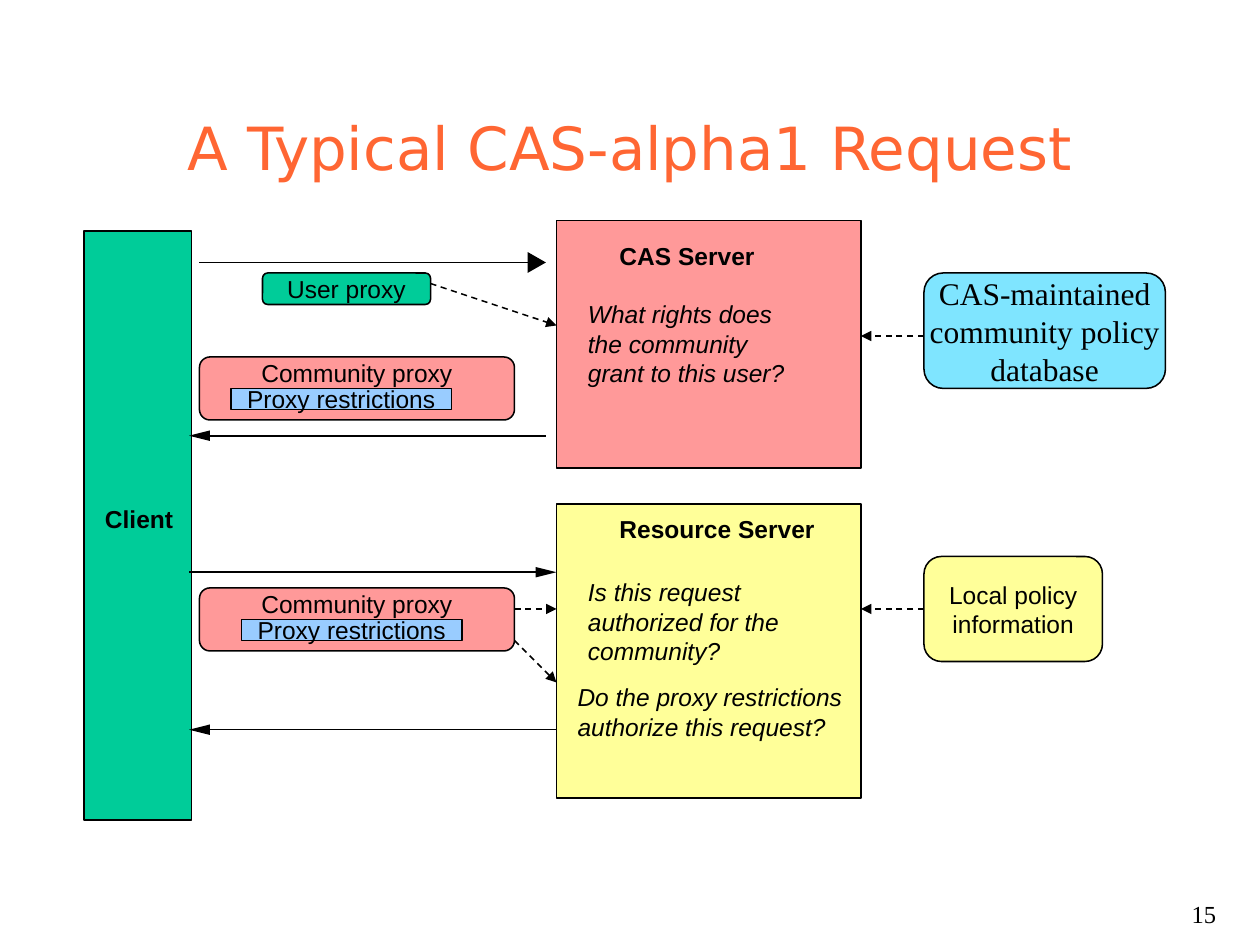
from lxml import etree
from pptx import Presentation
from pptx import util as u
from pptx.dml import color as c
from pptx.enum import dml, shapes, text
from pptx.oxml import ns

BLACK, ROSE, GREEN = "000000", "FF9999", "00CC99"
CREAM, BLUE, CYAN = "FFFF99", "99CCFF", "00CCFF"
LEFT, MID, RIGHT = text.PP_ALIGN.LEFT, text.PP_ALIGN.CENTER, text.PP_ALIGN.RIGHT
TOP, CENTER, BASE = text.MSO_ANCHOR.TOP, text.MSO_ANCHOR.MIDDLE, text.MSO_ANCHOR.BOTTOM


def tint(value):
    return c.RGBColor.from_string(value)


def write(frame, words, size=14, font="Arial", color=BLACK, bold=False,
          slant=False, align=LEFT, anchor=TOP, inset=(0, 0, 0), wrap=True):
    side, head, foot = inset
    frame.word_wrap = wrap
    frame.vertical_anchor = anchor
    frame.margin_left = frame.margin_right = u.Pt(side)
    frame.margin_top, frame.margin_bottom = u.Pt(head), u.Pt(foot)
    for i, line in enumerate(words.split("\n")):
        para = frame.paragraphs[0] if i == 0 else frame.add_paragraph()
        para.alignment = align
        run = para.add_run()
        run.text = line
        run.font.size = u.Pt(size)
        run.font.name = font
        run.font.bold = bold
        run.font.italic = slant
        run.font.color.rgb = tint(color)


class Canvas:
    def __init__(self, slide, weight=0.88, inset=(7.2, 3.6, 3.6)):
        self.shapes = slide.shapes
        self.weight = weight
        self.inset = inset

    def label(self, x, y, w, h, words, **style):
        box = self.shapes.add_textbox(u.Pt(x), u.Pt(y), u.Pt(w), u.Pt(h))
        write(box.text_frame, words, **style)

    def box(self, x, y, w, h, fill, words="", round=False, alpha=None, **style):
        kind = shapes.MSO_SHAPE.ROUNDED_RECTANGLE if round else shapes.MSO_SHAPE.RECTANGLE
        shape = self.shapes.add_shape(kind, u.Pt(x), u.Pt(y), u.Pt(w), u.Pt(h))
        shape.shadow.inherit = False
        shape.fill.solid()
        shape.fill.fore_color.rgb = tint(fill)
        shape.line.color.rgb = tint(BLACK)
        shape.line.width = u.Pt(self.weight)
        if alpha:
            hue = shape._element.spPr.find(".//" + ns.qn("a:srgbClr"))
            etree.SubElement(hue, ns.qn("a:alpha"), val=str(alpha * 1000))
        if words:
            look = dict(align=MID, anchor=CENTER, inset=self.inset, wrap=False)
            write(shape.text_frame, words, **{**look, **style})

    def line(self, x1, y1, x2, y2, dashed=False):
        link = self.shapes.add_connector(
            shapes.MSO_CONNECTOR.STRAIGHT, u.Pt(x1), u.Pt(y1), u.Pt(x2), u.Pt(y2))
        link.line.color.rgb = tint(BLACK)
        link.line.width = u.Pt(self.weight)
        if dashed:
            link.line.dash_style = dml.MSO_LINE.DASH
            etree.SubElement(link.line._get_or_add_ln(), ns.qn("a:tailEnd"), type="triangle")
        etree.SubElement(link._element.spPr, ns.qn("a:effectLst"))

    def arrow(self, start, tip, y, length=12, half=3):
        way = 1 if tip > start else -1
        back = tip - way * length
        self.line(start, y, back + way * 2, y)
        path = self.shapes.build_freeform(u.Pt(back), u.Pt(y - half))
        path.add_line_segments([(u.Pt(tip), u.Pt(y)), (u.Pt(back), u.Pt(y + half))])
        head = path.convert_to_shape()
        head.shadow.inherit = False
        head.fill.solid()
        head.fill.fore_color.rgb = tint(BLACK)
        head.line.fill.background()


def main():
    deck = Presentation()
    deck.slide_width, deck.slide_height = u.Pt(720), u.Pt(540)
    art = Canvas(deck.slides.add_slide(deck.slide_layouts[6]))

    art.label(54, 48, 612, 60, "A Typical CAS-alpha1 Request", size=34, font="DejaVu Sans",
              color="FF6633", align=MID, anchor=BASE, inset=art.inset)

    art.box(318, 126, 174, 141.5, ROSE)
    art.label(354, 138, 102, 17, "CAS Server", bold=True)
    art.label(336, 171, 150, 50, "What rights does\nthe community\ngrant to this user?", slant=True)

    art.box(48, 132, 61.5, 336.5, GREEN)
    art.label(60, 288, 39, 17, "Client", bold=True, wrap=False)

    art.box(318, 288, 174, 168, CREAM)
    art.label(354, 294, 132, 17, "Resource Server", bold=True)
    art.label(336, 330, 150, 50, "Is this request authorized for the community?", slant=True)
    art.label(330, 390, 156, 34, "Do the proxy restrictions authorize this request?", slant=True)

    art.arrow(114, 312, 150, length=10.5, half=6)
    art.arrow(312, 108, 249)
    art.arrow(108, 318, 327)
    art.arrow(318, 108, 417)

    art.box(528, 156, 138, 66, CYAN, "CAS-maintained\ncommunity policy\ndatabase", round=True,
            alpha=50, size=18, font="Times New Roman")
    art.box(528, 318, 102, 60, CREAM, "Local policy\ninformation", round=True)
    art.box(150, 156, 96, 18, GREEN, "User proxy", round=True)
    for y, x in ((204, 132), (336, 138)):
        art.box(114, y, 180, 36, ROSE, "Community proxy", round=True, inset=(7.2, 0, 18))
        art.box(x, y + 18, 126, 12, BLUE, "Proxy restrictions")

    for ends in ((528, 192, 492, 192), (246, 162, 318, 186), (528, 348, 492, 348),
                 (294, 348, 318, 348), (294, 366, 318, 390)):
        art.line(*ends, dashed=True)

    art.label(552, 510, 150, 24, "15", font="Times New Roman", align=RIGHT, inset=art.inset)
    deck.save("out.pptx")


if __name__ == "__main__":
    main()
